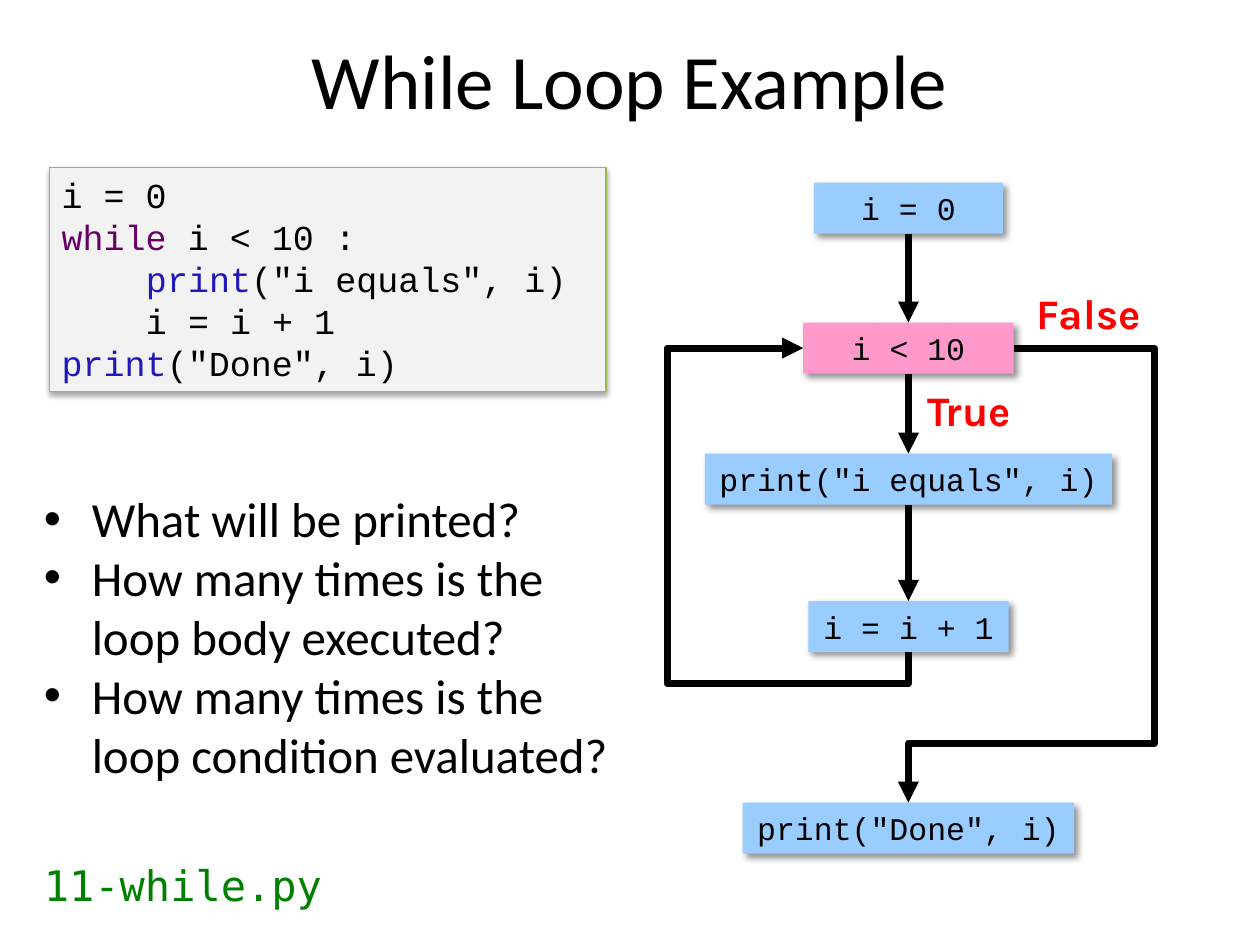
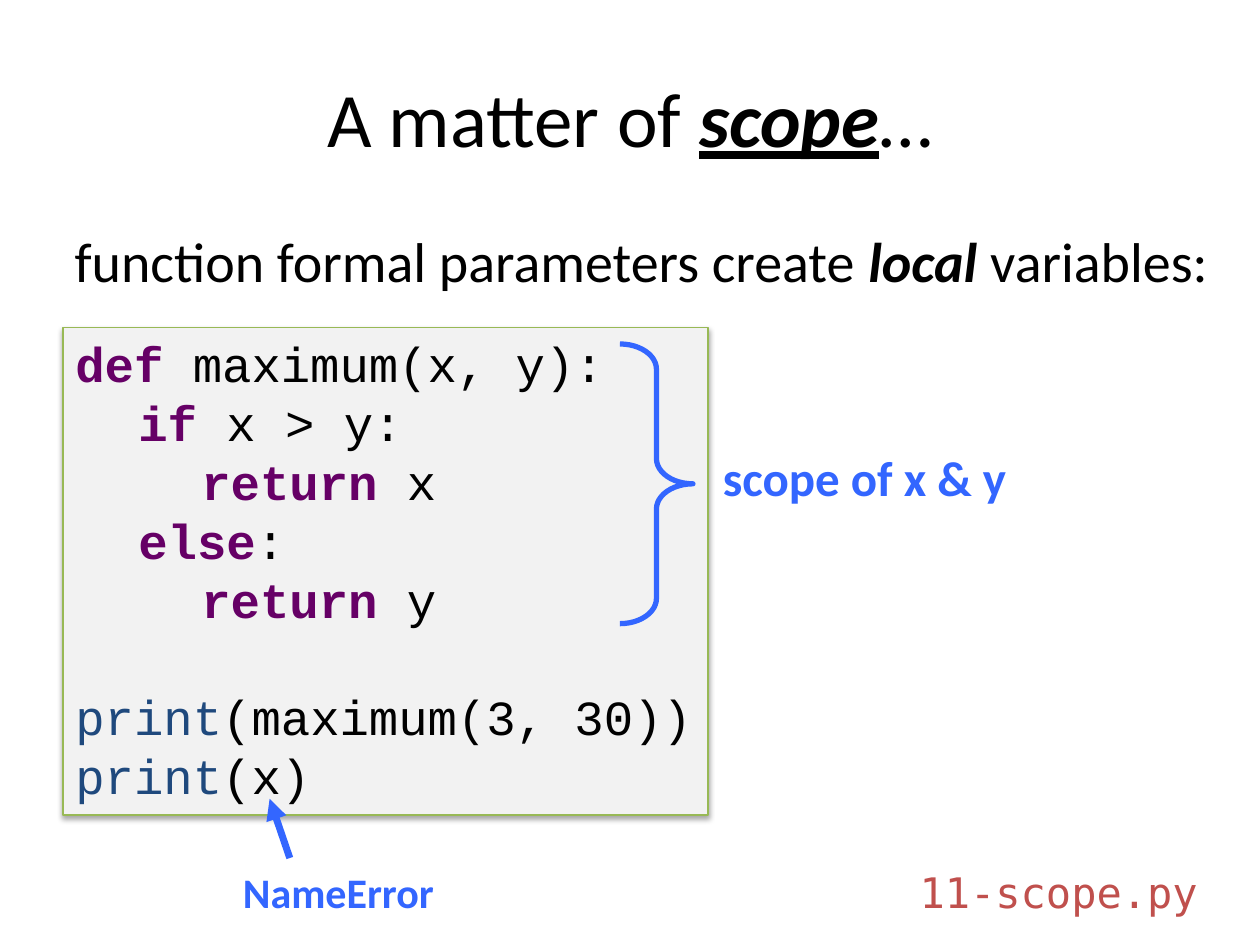
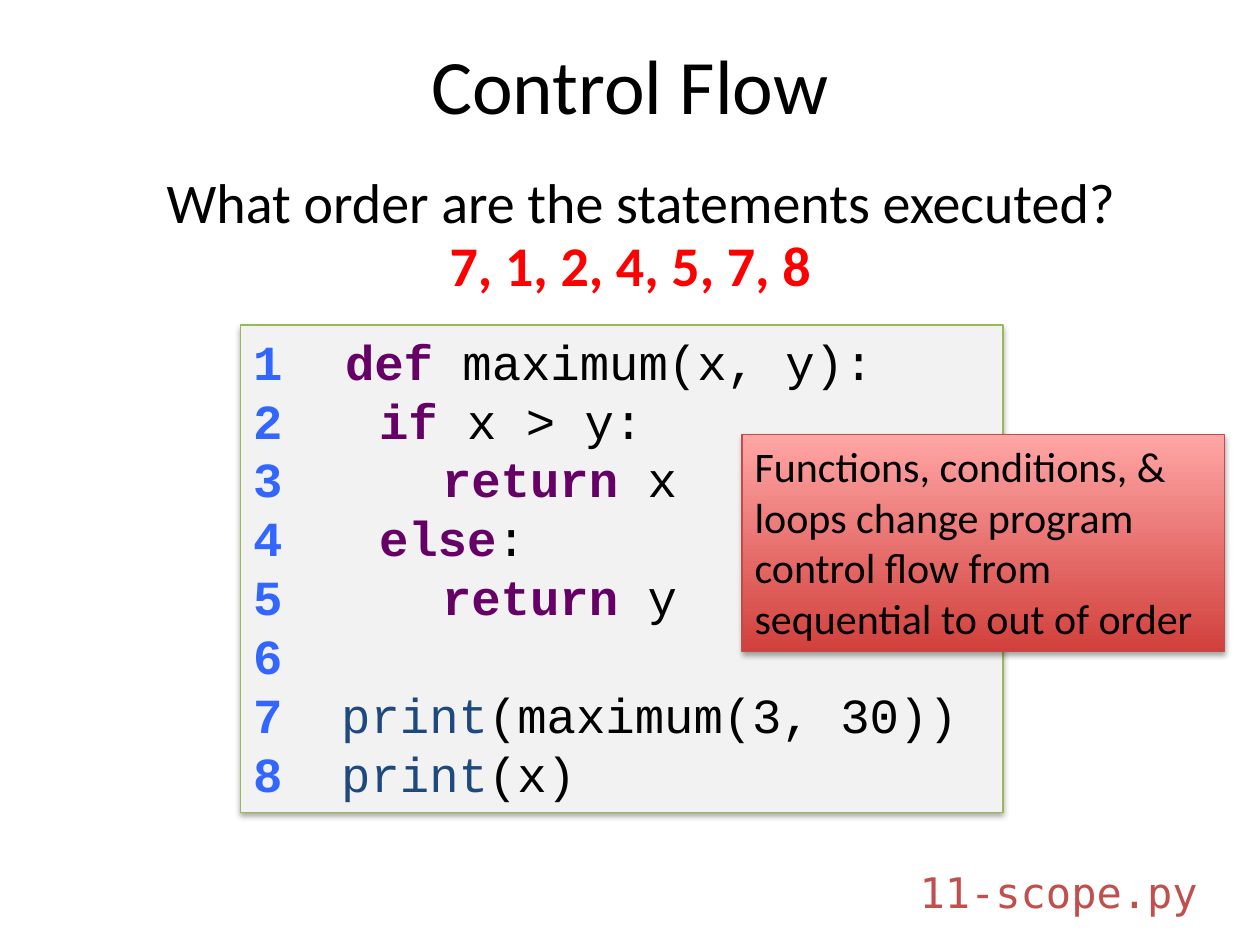
from dataclasses import dataclass

from lxml import etree
from pptx import Presentation
from pptx import util as u
from pptx.dml import color as dml
from pptx.enum import shapes, text
from pptx.oxml import ns

COLUMNS, ROWS = 100, 75
CELL = u.Inches(0.1)
ALIGN = text.PP_ALIGN
TOP, BOTTOM, LEFT, RIGHT = 0, 2, 1, 3


@dataclass(frozen=True)
class Theme:
    ink: str = "000000"
    alert: str = "FF0000"
    note: str = "3366FF"
    keyword: str = "660066"
    builtin: str = "1F497D"
    bright_builtin: str = "2017B8"
    step: str = "99CCFF"
    condition: str = "FF99CC"
    code_fill: str = "F2F2F2"
    code_line: str = "98B955"
    callout_dark: str = "D1403C"
    callout_light: str = "FFA6A5"
    callout_line: str = "BF4C48"
    file_green: str = "008000"
    file_red: str = "C0504D"
    body_font: str = "Calibri"
    code_font: str = "Courier New"
    file_font: str = "DejaVu Sans Mono"
    label_font: str = "Karla"
    title_size: int = 44
    lead_size: int = 32
    body_size: int = 28
    label_size: int = 24
    code_size: int = 20
    step_size: int = 18
    flow_width: int = 4
    # shadow: opacity %, blur pt, distance pt, direction degrees
    step_shadow: tuple = (43, 4, 3, 45)
    panel_shadow: tuple = (35, 3.1, 1.8, 90)


THEME = Theme()


@dataclass(frozen=True)
class Box:
    """A rectangle measured in grid cells."""
    left: float
    top: float
    width: float
    height: float

    def inside(self, left, top, width, height):
        return Box(self.left + left, self.top + top, width, height)

    def lengths(self):
        return [round(value * CELL) for value in (self.left, self.top, self.width, self.height)]


@dataclass
class Line:
    """One paragraph; a run is a text or a (text, font changes) pair."""
    runs: list
    indent: float = 0
    tab: float = 0
    bullet: str = ""
    before: float = 0


def rgb(value):
    return dml.RGBColor.from_string(value)


def child(parent, tag, **attributes):
    return etree.SubElement(parent, ns.qn(tag), {k: str(v) for k, v in attributes.items()})


def style_run(run, font, size, color, bold=False, italic=False, underline=False):
    run.font.name, run.font.size = font, u.Pt(size)
    run.font.color.rgb = rgb(color)
    run.font.bold, run.font.italic, run.font.underline = bold, italic, underline


def write(shape, lines, align=ALIGN.LEFT, middle=False, wrap=True, font=THEME.body_font,
          size=THEME.body_size, color=THEME.ink, **style):
    if isinstance(lines, str):
        lines = [Line([lines])]
    frame = shape.text_frame
    frame.word_wrap = wrap
    frame.vertical_anchor = text.MSO_ANCHOR.MIDDLE if middle else text.MSO_ANCHOR.TOP
    base = dict(font=font, size=size, color=color, **style)
    for index, line in enumerate(lines):
        paragraph = frame.add_paragraph() if index else frame.paragraphs[0]
        paragraph.alignment = align
        if line.before:
            paragraph.space_before = u.Pt(line.before)
        properties = paragraph._p.get_or_add_pPr()
        if line.indent:
            properties.set("marL", str(u.Inches(line.indent)))
        if line.bullet:
            properties.set("indent", str(-u.Inches(line.indent)))
            child(properties, "a:buFont", typeface="Arial")
            child(properties, "a:buChar", char=line.bullet)
        if line.tab:
            stops = child(properties, "a:tabLst")
            child(stops, "a:tab", pos=u.Inches(line.tab), algn="l")
        for part in line.runs:
            content, changes = (part, {}) if isinstance(part, str) else part
            run = paragraph.add_run()
            run.text = content
            style_run(run, **{**base, **changes})


def add_text(slide, box, lines, **style):
    write(slide.shapes.add_textbox(*box.lengths()), lines, **style)


def add_panel(slide, box, fill, shadow, line=None):
    """Rectangle with a soft shadow; two fill colours make a gradient from the bottom up."""
    panel = slide.shapes.add_shape(shapes.MSO_SHAPE.RECTANGLE, *box.lengths())
    if isinstance(fill, tuple):
        panel.fill.gradient()
        panel.fill.gradient_angle = 90
        for stop, color in zip(panel.fill.gradient_stops, fill):
            stop.color.rgb = rgb(color)
    else:
        panel.fill.solid()
        panel.fill.fore_color.rgb = rgb(fill)
    if line:
        panel.line.color.rgb = rgb(line)
        panel.line.width = u.Pt(0.75)
    else:
        panel.line.fill.background()
    panel.shadow.inherit = False
    opacity, blur, distance, direction = shadow
    outer = child(panel._element.spPr.find(ns.qn("a:effectLst")), "a:outerShdw",
                  blurRad=u.Pt(blur), dist=u.Pt(distance), dir=direction * 60000,
                  algn="tl", rotWithShape=0)
    tint = child(outer, "a:srgbClr", val=THEME.ink)
    child(tint, "a:alpha", val=opacity * 1000)
    return panel


def style_arrow(connector, color):
    connector.line.color.rgb = rgb(color)
    connector.line.width = u.Pt(THEME.flow_width)
    properties = connector._element.spPr
    child(properties.find(ns.qn("a:ln")), "a:tailEnd", type="triangle")
    child(properties, "a:effectLst")


def join(slide, start, start_side, end, end_side, kind=shapes.MSO_CONNECTOR.STRAIGHT):
    connector = slide.shapes.add_connector(kind, 0, 0, 0, 0)
    connector.begin_connect(start, start_side)
    connector.end_connect(end, end_side)
    style_arrow(connector, THEME.ink)
    return connector


def join_around(slide, start, start_side, end, end_side, bends, turned=False):
    """Three-bend connector; bends are shares of its box, turned ones leave downwards."""
    connector = join(slide, start, start_side, end, end_side, shapes.MSO_CONNECTOR.ELBOW)
    geometry = connector._element.spPr.find(ns.qn("a:prstGeom"))
    geometry.set("prst", "bentConnector4")
    guides = geometry.find(ns.qn("a:avLst"))
    for number, share in enumerate(bends, 1):
        child(guides, "a:gd", name=f"adj{number}", fmla=f"val {round(share * 100000)}")
    if turned:
        width, height = connector.width, connector.height
        connector.left += (width - height) // 2
        connector.top += (height - width) // 2
        connector.width, connector.height = height, width
        transform = connector._element.spPr.find(ns.qn("a:xfrm"))
        transform.set("rot", str(90 * 60000))
        transform.set("flipH", "1")
        transform.set("flipV", "0")


def add_title(slide, top, runs):
    add_text(slide, Box(5, top, 90, 12.5), [Line(runs)], align=ALIGN.CENTER, middle=True,
             size=THEME.title_size)


def add_lead(slide, top, runs):
    add_text(slide, Box(1.8, top, 98.2, 8.3), [Line(runs)], align=ALIGN.CENTER,
             size=THEME.lead_size)


def add_file_name(slide, left, top, name, color):
    add_text(slide, Box(left, top, 25.2, 5), name, font=THEME.file_font,
             size=THEME.label_size, color=color)


def highlight(code, builtin=THEME.builtin, bold=True):
    """Split a statement into its coloured first word and the rest."""
    for word in ("def", "if", "return", "else", "while", "print"):
        if code.startswith(word):
            is_print = word == "print"
            changes = dict(color=builtin if is_print else THEME.keyword,
                           bold=bold and not is_print)
            return [(word, changes), code[len(word):]]
    return [code]


def add_code(slide, box, lines, size=THEME.body_size):
    panel = add_panel(slide, box, THEME.code_fill, THEME.panel_shadow, THEME.code_line)
    write(panel, lines, font=THEME.code_font, size=size)


def add_flowchart(slide, region):
    middle = 19.2

    def step(label, top, width, fill=THEME.step):
        panel = add_panel(slide, region.inside(middle - width / 2, top, width, 4.05),
                          fill, THEME.step_shadow)
        write(panel, label, font=THEME.code_font, size=THEME.step_size,
              align=ALIGN.CENTER, middle=True, wrap=False)
        return panel

    start = step("i = 0", 0, 15)
    condition = step("i < 10", 11.1, 16.7, THEME.condition)
    body = step('print("i equals", i)', 21.5, 32.3)
    increment = step("i = i + 1", 33.2, 15.9)
    done = step('print("Done", i)', 49.2, 26.3)

    chain = [start, condition, body, increment]
    for above, below in zip(chain, chain[1:]):
        join(slide, above, BOTTOM, below, TOP)
    join_around(slide, increment, BOTTOM, condition, LEFT, (-0.104, 2.294), turned=True)
    join_around(slide, condition, RIGHT, done, TOP, (-1.341, 0.869))

    for label, left, top, width in (("True", 19.7, 15.5, 9.7), ("False", 28.4, 7.8, 10.7)):
        add_text(slide, region.inside(left, top, width, 5), label, wrap=False, bold=True,
                 font=THEME.label_font, size=THEME.label_size, color=THEME.alert)


def add_scope_notes(slide, code_box):
    brace_box = code_box.inside(44.2, 1.3, 5.8, 22.2)
    brace = slide.shapes.add_shape(shapes.MSO_SHAPE.RIGHT_BRACE, *brace_box.lengths())
    brace.adjustments[0] = 0.345
    brace.fill.background()
    brace.line.color.rgb = rgb(THEME.note)
    brace.line.width = u.Pt(3)
    brace.shadow.inherit = False

    note = dict(color=THEME.note, bold=True, wrap=False)
    add_text(slide, code_box.inside(code_box.width, 9, 24.8, 5.7), "scope of x & y",
             align=ALIGN.CENTER, middle=True, **note)
    add_text(slide, code_box.inside(13.3, 42.3, 17.4, 5), "NameError",
             size=THEME.label_size, **note)
    tail, head = code_box.inside(18, 42.1, 0, 0), code_box.inside(16.4, 37.4, 0, 0)
    pointer = slide.shapes.add_connector(shapes.MSO_CONNECTOR.STRAIGHT,
                                         *tail.lengths()[:2], *head.lengths()[:2])
    style_arrow(pointer, THEME.note)


def build_while_loop(slide):
    add_title(slide, 0, ["While Loop Example"])
    add_flowchart(slide, Box(52.9, 14.5, 38.8, 53.2))
    statements = [("i = 0", 0), ("while i < 10 :", 0), ('print("i equals", i)', 0.67),
                  ("i = i + 1", 0.67), ('print("Done", i)', 0)]
    add_code(slide, Box(3.9, 13.3, 44.2, 17.8),
             [Line(highlight(code, THEME.bright_builtin, bold=False), indent=indent)
              for code, indent in statements], size=THEME.code_size)
    add_file_name(slide, 2.5, 67.7, "11-while.py", THEME.file_green)
    questions = ["What will be printed?", "How many times is the loop body executed?",
                 "How many times is the loop condition evaluated?"]
    add_text(slide, Box(2.5, 38.3, 46.9, 24.6),
             [Line([question], indent=0.38, bullet="•") for question in questions])


FUNCTION = ["def maximum(x, y):", "if x > y:", "return x", "else:", "return y"]
CALLS = ["print(maximum(3, 30))", "print(x)"]


def build_scope(slide):
    add_title(slide, 3, ["A matter of ",
                         ("scope", dict(bold=True, italic=True, underline=True)), "…"])
    add_lead(slide, 17.5, ["function formal parameters create ",
                           ("local", dict(bold=True, italic=True)), " variables:"])
    code_box = Box(5, 26, 51.2, 38.7)
    lines = [Line(highlight(code), indent=indent)
             for code, indent in zip(FUNCTION + CALLS, (0, 0.5, 1, 0.5, 1, 0, 0))]
    lines[len(FUNCTION)].before = 33.4
    add_code(slide, code_box, lines)
    add_file_name(slide, 72, 68.3, "11-scope.py", THEME.file_red)
    add_scope_notes(slide, code_box)


def build_control_flow(slide):
    add_title(slide, 0.4, ["Control Flow"])
    add_lead(slide, 12.8, ["What order are the statements executed?"])
    number_style = dict(color=THEME.note, bold=True)
    lines = []
    stops = (0.73, 1, 1.5, 1, 1.5, 0, 0.7, 0.7)
    for number, (code, stop) in enumerate(zip(FUNCTION + [""] + CALLS, stops), 1):
        runs = [(f"{number}\t", number_style), *highlight(code)] if code else [
            (str(number), number_style)]
        lines.append(Line(runs, tab=stop))
    add_code(slide, Box(19.1, 25.8, 60.5, 38.7), lines)
    add_file_name(slide, 72, 68.3, "11-scope.py", THEME.file_red)
    add_text(slide, Box(34.7, 17.8, 31, 6.4), "7, 1, 2, 4, 5, 7, 8", wrap=False,
             size=THEME.lead_size, color=THEME.alert, bold=True)
    callout = add_panel(slide, Box(58.9, 34.5, 38.3, 17.2),
                        (THEME.callout_dark, THEME.callout_light),
                        THEME.panel_shadow, THEME.callout_line)
    write(callout, "Functions, conditions, & loops change program control flow "
          "from sequential to out of order", size=THEME.label_size)


def main():
    presentation = Presentation()
    presentation.slide_width, presentation.slide_height = COLUMNS * CELL, ROWS * CELL
    blank = presentation.slide_layouts[6]
    for build in (build_while_loop, build_scope, build_control_flow):
        build(presentation.slides.add_slide(blank))
    presentation.save("out.pptx")


if __name__ == "__main__":
    main()
